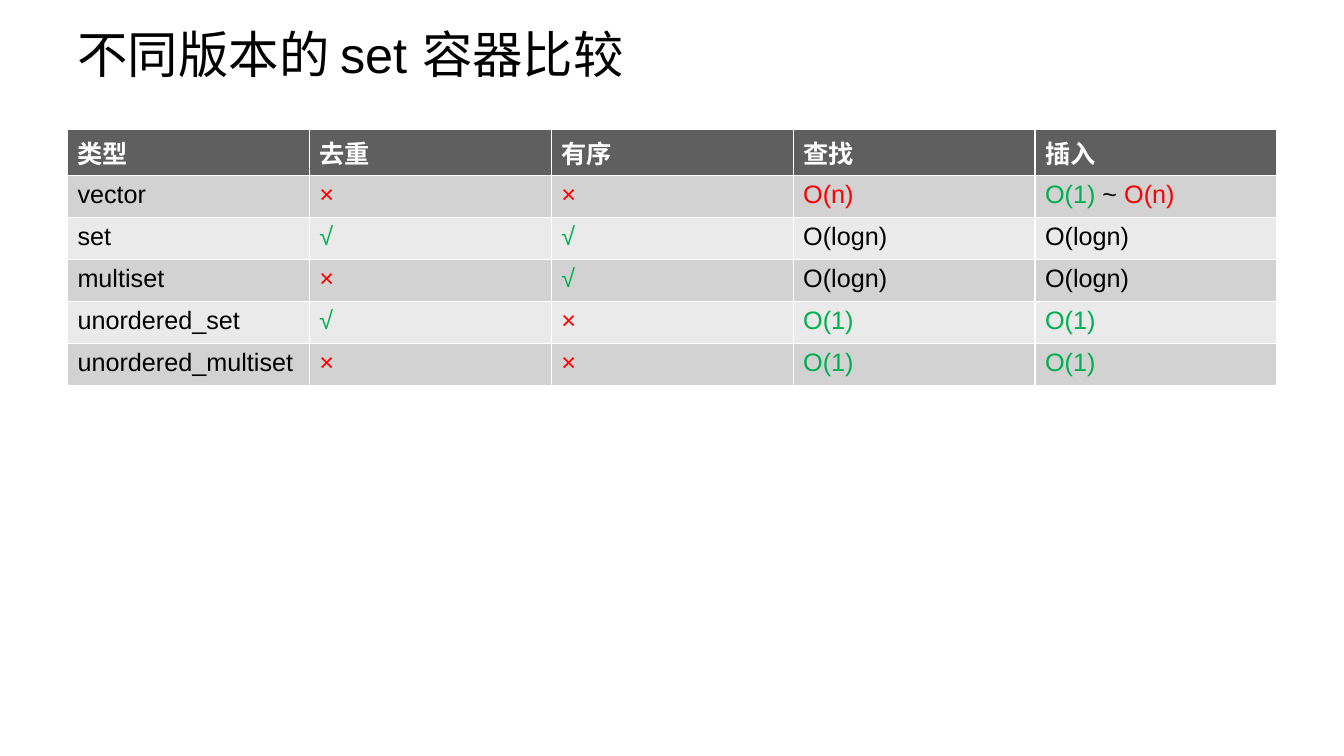
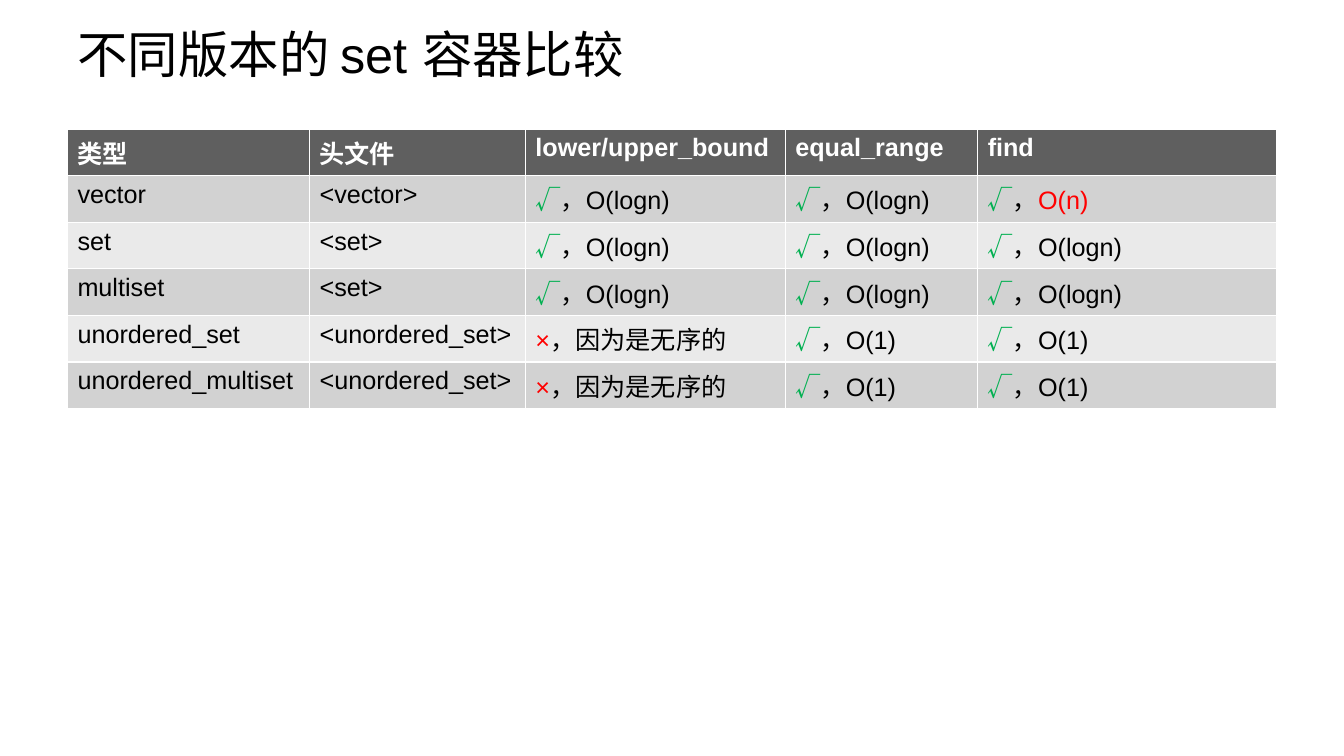
"""Build two slides comparing the set containers of C++."""
import pptx
import pptx.dml.color
import pptx.enum.text
import pptx.util

Cm = pptx.util.Cm
RGBColor = pptx.dml.color.RGBColor

BLACK = RGBColor(0x00, 0x00, 0x00)
WHITE = RGBColor(0xFF, 0xFF, 0xFF)
RED = RGBColor(0xFF, 0x00, 0x00)
GREEN = RGBColor(0x00, 0xB0, 0x50)
HEADER_FILL = RGBColor(0x5F, 0x5F, 0x5F)
BAND_FILLS = (RGBColor(0xD2, 0xD2, 0xD2), RGBColor(0xEA, 0xEA, 0xEA))

FONT = "Arial"
LEFT, WIDTH = 1.7, 30.48
TITLE_TOP, TITLE_HEIGHT = 0.53, 1.63
TABLE_TOP, ROW_HEIGHT = 3.25, 1.06
TITLE = "不同版本的 set 容器比较"

YES = ("√", GREEN)
NO = ("×", RED)
LINEAR = ("O(n)", RED)
CONSTANT = ("O(1)", GREEN)
YES_LOG = [YES, "，O(logn)"]
YES_CONSTANT = [YES, "，O(1)"]
NO_UNORDERED = [NO, "，因为是无序的"]

COMPARISONS = [
    {
        "widths": [WIDTH / 5] * 5,
        "header": ["类型", "去重", "有序", "查找", "插入"],
        "rows": [
            ["vector", [NO], [NO], [LINEAR], [CONSTANT, " ~ ", LINEAR]],
            ["set", [YES], [YES], "O(logn)", "O(logn)"],
            ["multiset", [NO], [YES], "O(logn)", "O(logn)"],
            ["unordered_set", [YES], [NO], [CONSTANT], [CONSTANT]],
            ["unordered_multiset", [NO], [NO], [CONSTANT], [CONSTANT]],
        ],
    },
    {
        "widths": [6.1, 5.44, 6.55, 4.85, 7.54],
        "header": ["类型", "头文件", "lower/upper_bound", "equal_range", "find"],
        "rows": [
            ["vector", "<vector>", YES_LOG, YES_LOG, [YES, "，", LINEAR]],
            ["set", "<set>", YES_LOG, YES_LOG, YES_LOG],
            ["multiset", "<set>", YES_LOG, YES_LOG, YES_LOG],
            ["unordered_set", "<unordered_set>", NO_UNORDERED, YES_CONSTANT, YES_CONSTANT],
            ["unordered_multiset", "<unordered_set>", NO_UNORDERED, YES_CONSTANT, YES_CONSTANT],
        ],
    },
]


def write(paragraph, content, size, color=BLACK, bold=False):
    """Fill a paragraph with a string or a list of plain and coloured parts."""
    paragraph.font.name = FONT
    paragraph.font.size = pptx.util.Pt(size)
    paragraph.font.bold = bold
    for part in [content] if isinstance(content, str) else content:
        text, part_color = (part, color) if isinstance(part, str) else part
        run = paragraph.add_run()
        run.text = text
        run.font.color.rgb = part_color


def add_title(slide):
    """Place and style the title placeholder."""
    title = slide.shapes.title
    title.left, title.top = Cm(LEFT), Cm(TITLE_TOP)
    title.width, title.height = Cm(WIDTH), Cm(TITLE_HEIGHT)
    frame = title.text_frame
    frame.auto_size = pptx.enum.text.MSO_AUTO_SIZE.NONE
    frame.vertical_anchor = pptx.enum.text.MSO_ANCHOR.MIDDLE
    frame.paragraphs[0].alignment = pptx.enum.text.PP_ALIGN.LEFT
    write(frame.paragraphs[0], TITLE, 36)


def add_comparison(slide, comparison):
    """Add a table with a dark header and alternating row fills."""
    rows = [comparison["header"], *comparison["rows"]]
    widths = comparison["widths"]
    table = slide.shapes.add_table(
        len(rows), len(widths), Cm(LEFT), Cm(TABLE_TOP),
        Cm(WIDTH), Cm(ROW_HEIGHT * len(rows))).table
    for column, width in zip(table.columns, widths):
        column.width = Cm(width)
    for row_index, row in enumerate(rows):
        is_header = row_index == 0
        fill = HEADER_FILL if is_header else BAND_FILLS[(row_index - 1) % 2]
        for column_index, content in enumerate(row):
            cell = table.cell(row_index, column_index)
            cell.fill.solid()
            cell.fill.fore_color.rgb = fill
            write(cell.text_frame.paragraphs[0], content, 18,
                  WHITE if is_header else BLACK, is_header)


def main():
    """Create and save the presentation."""
    presentation = pptx.Presentation()
    presentation.slide_width, presentation.slide_height = Cm(33.87), Cm(19.05)
    for comparison in COMPARISONS:
        slide = presentation.slides.add_slide(presentation.slide_layouts[5])
        add_title(slide)
        add_comparison(slide, comparison)
    presentation.save("out.pptx")


if __name__ == "__main__":
    main()
